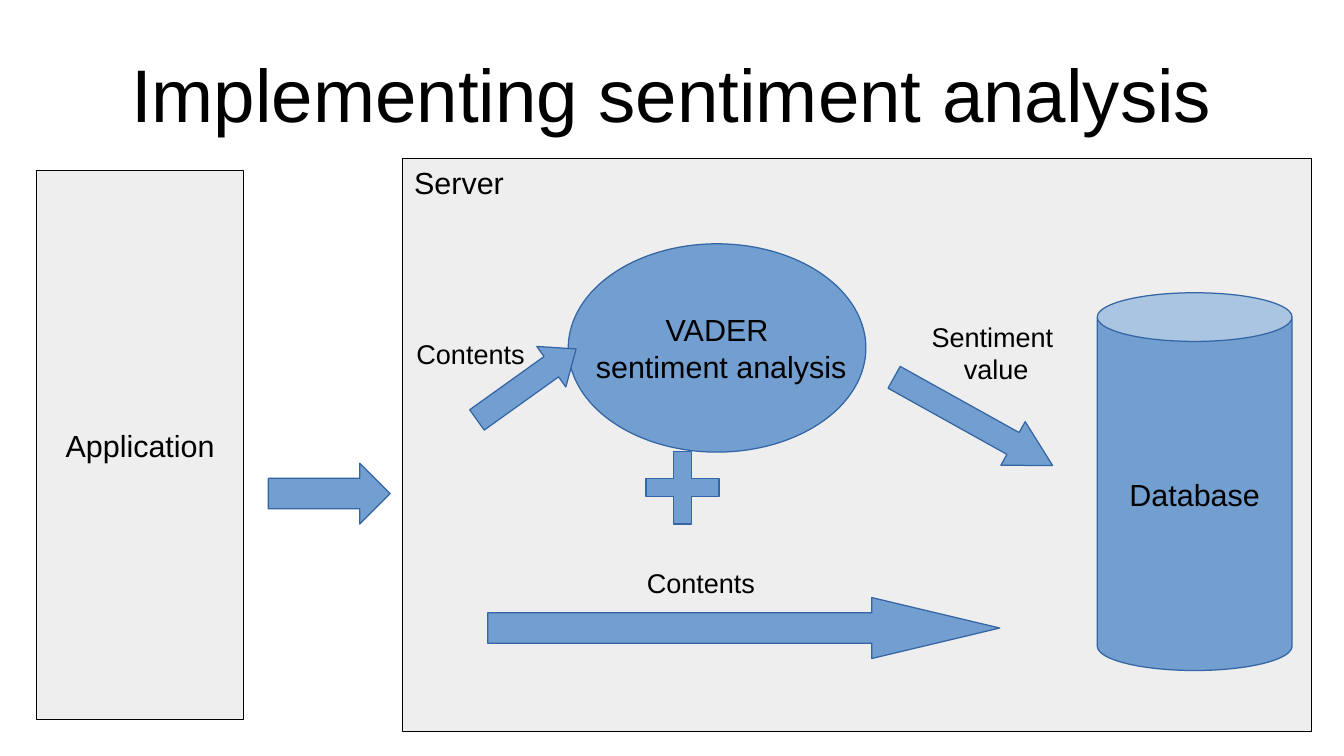
from pptx import Presentation
from pptx.dml.color import RGBColor
from pptx.enum.shapes import MSO_SHAPE
from pptx.enum.text import MSO_ANCHOR, MSO_AUTO_SIZE, PP_ALIGN
from pptx.util import Cm, Pt

FONT = "Arial"
BLACK = "000000"
PANEL_GREY = "EEEEEE"
BLUE = "729FCF"
DARK_BLUE = "3465A4"


def color(hex_code):
    return RGBColor.from_string(hex_code)


def write(frame, lines, size, align=PP_ALIGN.CENTER, anchor=MSO_ANCHOR.MIDDLE, wrap=True):
    frame.word_wrap = wrap
    frame.auto_size = MSO_AUTO_SIZE.NONE
    frame.vertical_anchor = anchor
    for index, line in enumerate(lines):
        paragraph = frame.add_paragraph() if index else frame.paragraphs[0]
        paragraph.alignment = align
        run = paragraph.add_run()
        run.text = line
        run.font.name = FONT
        run.font.size = Pt(size)
        run.font.color.rgb = color(BLACK)


def add_figure(slide, kind, box, fill=BLUE, line=DARK_BLUE):
    figure = slide.shapes.add_shape(kind, *map(Cm, box))
    figure.shadow.inherit = False
    figure.fill.solid()
    figure.fill.fore_color.rgb = color(fill)
    figure.line.color.rgb = color(line)
    figure.line.width = Pt(0.75)
    return figure


def add_arrow(slide, box, rotation=0):
    """Add a right arrow whose head takes a quarter of its length."""
    arrow = add_figure(slide, MSO_SHAPE.RIGHT_ARROW, box)
    arrow.adjustments[1] = 0.25 * box[2] / box[3]
    arrow.rotation = rotation


def add_label(slide, box, lines):
    label = slide.shapes.add_textbox(*map(Cm, box))
    write(label.text_frame, lines, 16, anchor=MSO_ANCHOR.TOP)


def add_title(slide, box, text):
    title = slide.shapes.title
    title.left, title.top, title.width, title.height = map(Cm, box)
    frame = title.text_frame
    frame.margin_left = frame.margin_right = frame.margin_top = frame.margin_bottom = 0
    write(frame, [text], 44)


def add_application(slide, box):
    application = add_figure(slide, MSO_SHAPE.RECTANGLE, box, PANEL_GREY, BLACK)
    write(application.text_frame, ["Application"], 18, wrap=False)


def add_server(slide, box):
    left, top = box[:2]

    def inside(x, y, width, height):
        return left + x, top + y, width, height

    server = add_figure(slide, MSO_SHAPE.RECTANGLE, box, PANEL_GREY, BLACK)
    write(server.text_frame, ["Server"], 18, PP_ALIGN.LEFT, MSO_ANCHOR.TOP, wrap=False)

    analysis = add_figure(slide, MSO_SHAPE.OVAL, inside(3.46, 1.78, 6.2, 4.34))
    write(analysis.text_frame, ["VADER", " sentiment analysis"], 18, wrap=False)

    plus = add_figure(slide, MSO_SHAPE.CROSS, inside(5.08, 6.1, 1.52, 1.52))
    plus.adjustments[0] = 0.38

    database = add_figure(slide, MSO_SHAPE.CAN, inside(14.48, 2.8, 4.06, 7.87))
    write(database.text_frame, ["Database"], 18, wrap=False)

    add_arrow(slide, inside(1.78, 9.15, 10.67, 1.27))
    add_arrow(slide, inside(1.32, 4.19, 2.54, 1.04), 324.4)
    add_arrow(slide, inside(10.01, 4.96, 3.78, 1.04), 29.1)

    add_label(slide, inside(10.77, 3.25, 3.05, 1.5), ["Sentiment", " value"])
    add_label(slide, inside(2.54, 8.38, 7.37, 1.02), ["Contents"])
    add_label(slide, inside(-0.1, 3.61, 3.05, 1.02), ["Contents"])


def main():
    deck = Presentation()
    deck.slide_width, deck.slide_height = Cm(28), Cm(15.75)
    slide = deck.slides.add_slide(deck.slide_layouts.get_by_name("Title Only"))
    add_title(slide, (1.4, 0.63, 25.2, 2.62), "Implementing sentiment analysis")
    add_server(slide, (8.38, 3.3, 18.95, 11.94))
    add_application(slide, (0.76, 3.56, 4.32, 11.43))
    add_arrow(slide, (5.59, 9.65, 2.54, 1.27))
    deck.save("out.pptx")


if __name__ == "__main__":
    main()
